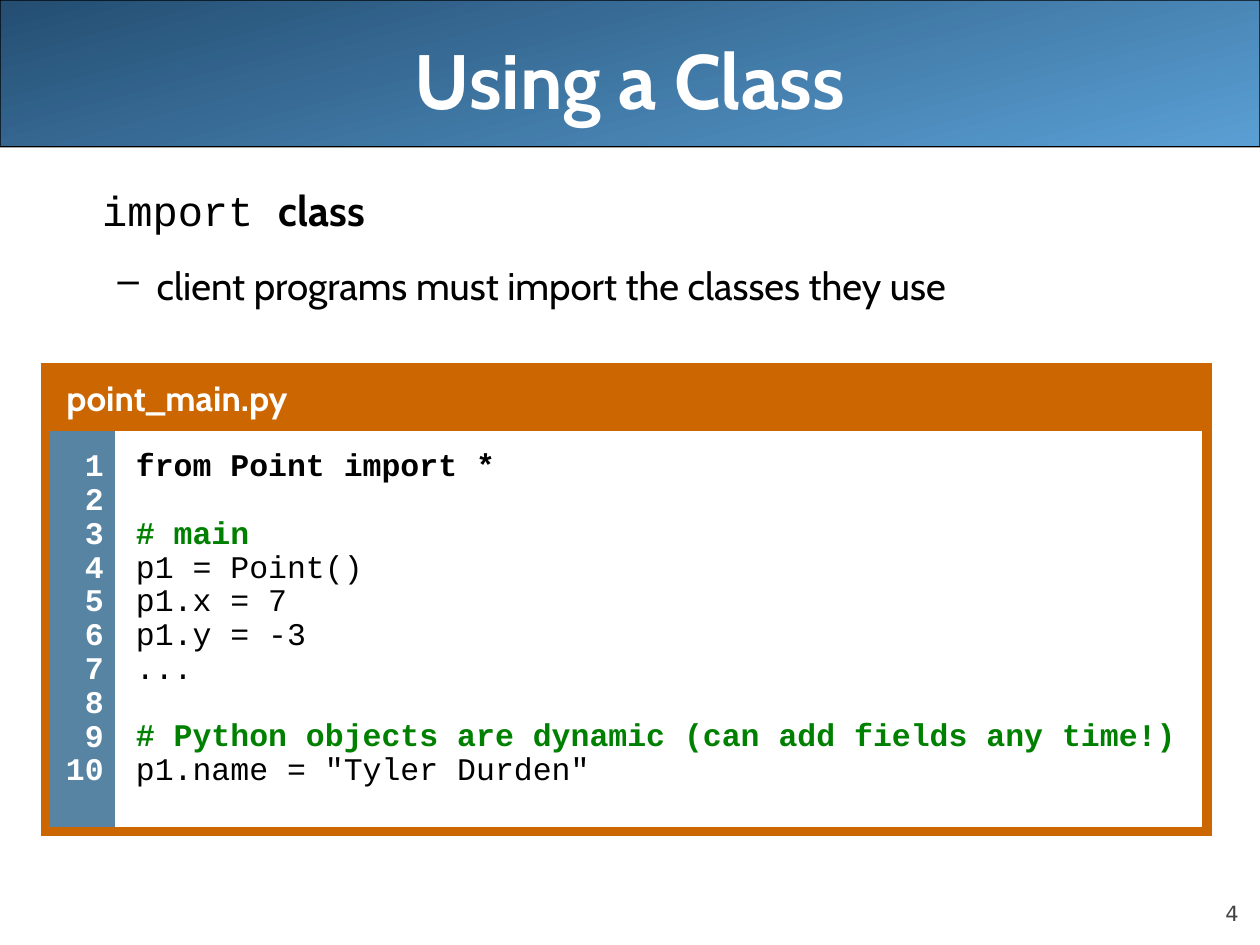
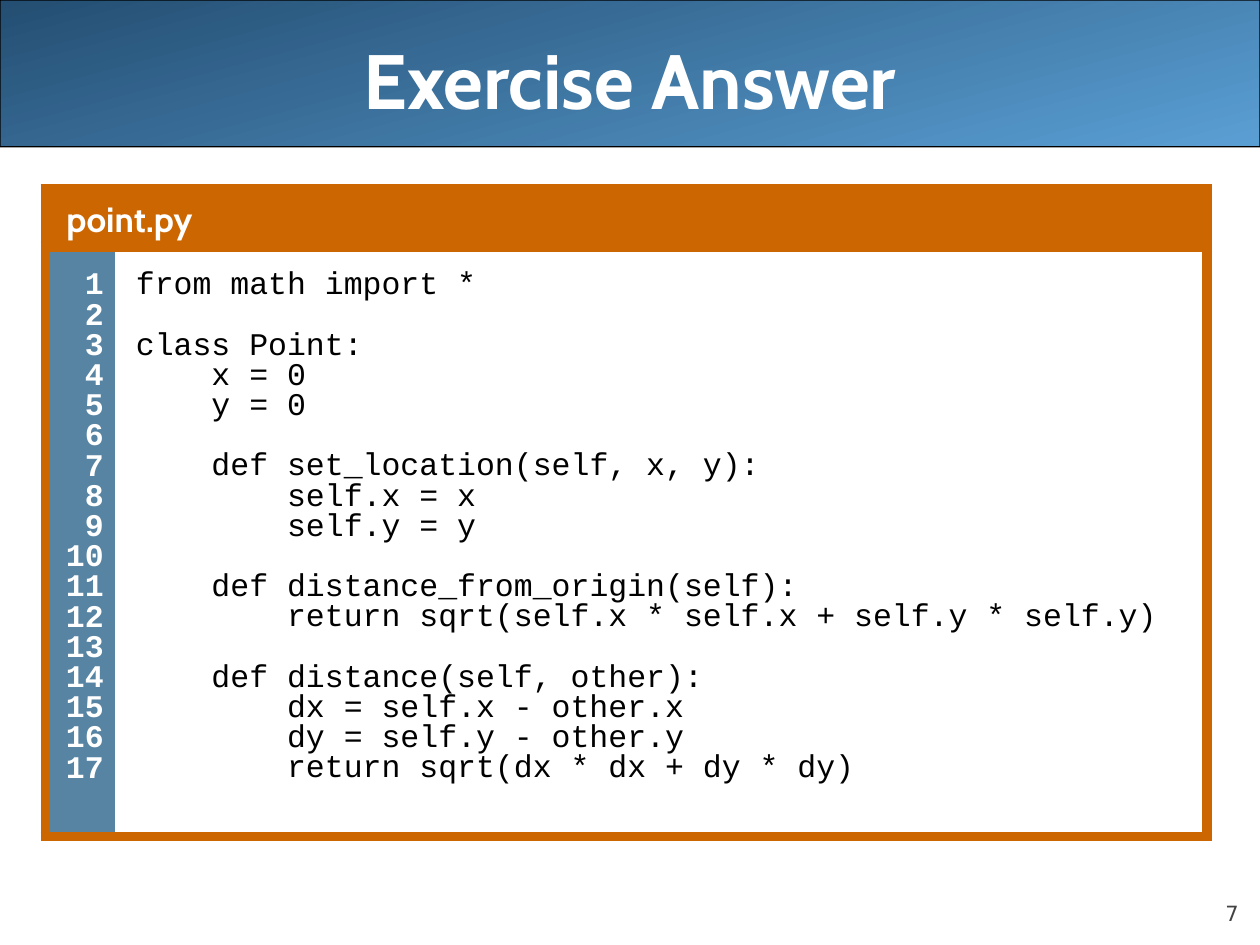
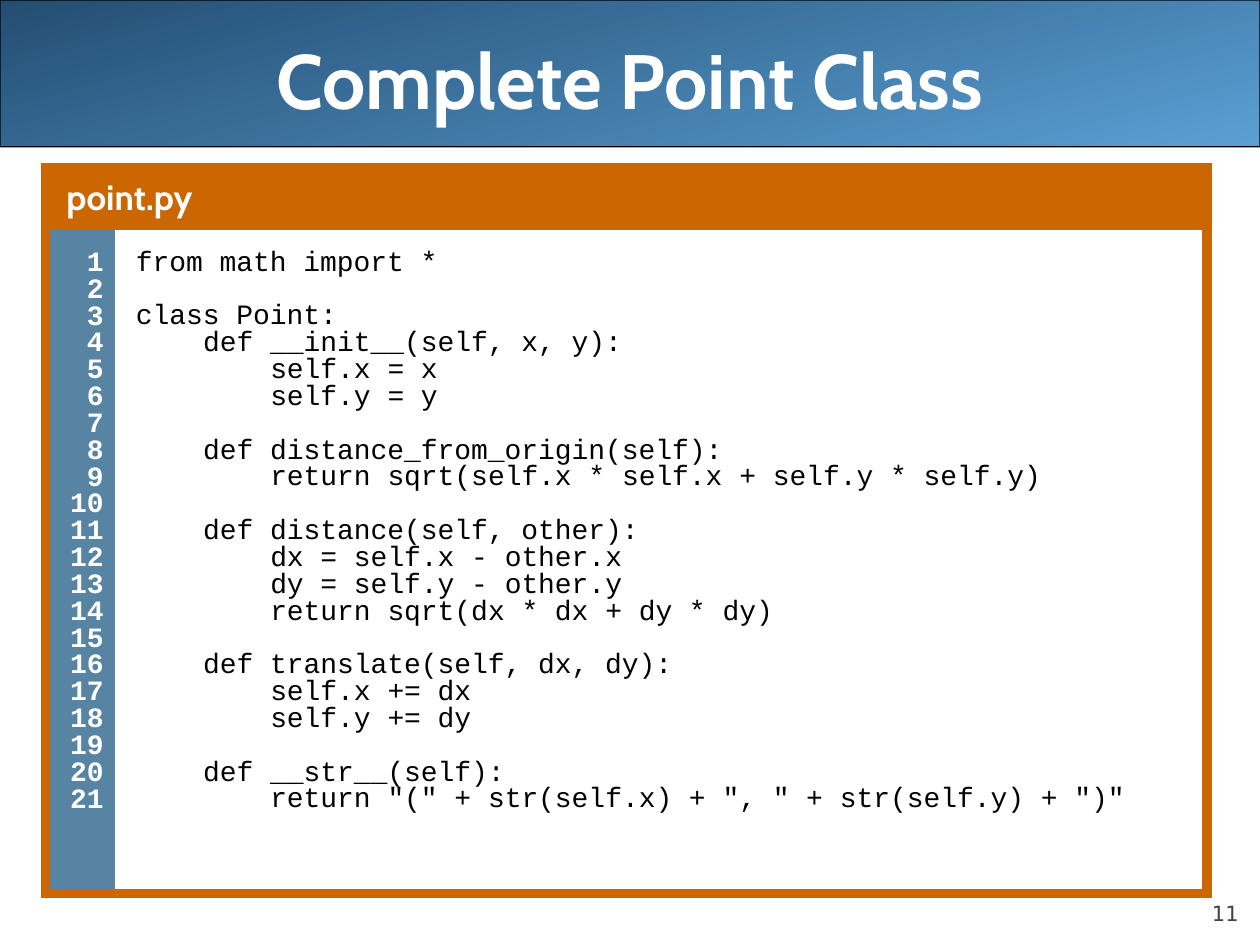
from lxml import etree
from pptx import Presentation
from pptx.dml.color import RGBColor
from pptx.enum.shapes import MSO_SHAPE
from pptx.enum.text import MSO_ANCHOR, PP_ALIGN
from pptx.oxml.ns import qn
from pptx.util import Cm, Pt

ROUND = MSO_SHAPE.ROUNDED_RECTANGLE
MID, LOW = MSO_ANCHOR.MIDDLE, MSO_ANCHOR.BOTTOM
LEFT, MIDST, RIGHT = PP_ALIGN.LEFT, PP_ALIGN.CENTER, PP_ALIGN.RIGHT

# Theme: colours, then type as font, size, weight and colour
HUE = {"navy": "244E72", "sky": "5A9FD4", "rust": "CC6600", "slate": "5784A3",
       "white": "FFFFFF", "black": "000000", "green": "008000", "grey": "424242"}
THEME = {
    "hue": {key: RGBColor.from_string(val) for key, val in HUE.items()},
    "type": {
        "title": ("Cabin", 44, True, "white"),
        "file": ("Cabin", 20, True, "white"),
        "key": ("Courier New", 24, False, "black"),
        "word": ("Cabin", 24, True, "black"),
        "point": ("Cabin", 22, False, "black"),
        "page": ("DejaVu Sans", 12, False, "grey"),
        "count": ("Courier New", 18, True, "white"),
        "code": ("Courier New", 18, False, "black"),
        "bold": ("Courier New", 18, True, "black"),
        "note": ("Courier New", 18, True, "green"),
    },
}
hue = THEME["hue"]
MONO_LINE = 1.13  # line height of the code font, in ems
MONO_CHAR = 0.6   # width of one code character, in ems
GAP = 0.2         # space before a paragraph, in ems

MAIN = """from Point import *

# main
p1 = Point()
p1.x = 7
p1.y = -3
...

# Python objects are dynamic (can add fields any time!)
p1.name = "Tyler Durden\""""

POINT = """from math import *

class Point:
    x = 0
    y = 0

    def set_location(self, x, y):
        self.x = x
        self.y = y

    def distance_from_origin(self):
        return sqrt(self.x * self.x + self.y * self.y)

    def distance(self, other):
        dx = self.x - other.x
        dy = self.y - other.y
        return sqrt(dx * dx + dy * dy)"""

WHOLE = """from math import *

class Point:
    def __init__(self, x, y):
        self.x = x
        self.y = y

    def distance_from_origin(self):
        return sqrt(self.x * self.x + self.y * self.y)

    def distance(self, other):
        dx = self.x - other.x
        dy = self.y - other.y
        return sqrt(dx * dx + dy * dy)

    def translate(self, dx, dy):
        self.x += dx
        self.y += dy

    def __str__(self):
        return "(" + str(self.x) + ", " + str(self.y) + ")\""""

PAGES = [
    {"title": "Using a Class", "page": "4", "file": "point_main.py", "code": MAIN,
     "top": 7.42, "tall": 7.82, "size": 18, "pitch": 0.77, "bold": ["from Point import *"]},
    {"title": "Exercise Answer", "page": "7", "file": "point.py", "code": POINT,
     "top": 3.81, "tall": 11.38, "size": 18, "pitch": 0.67, "bold": []},
    {"title": "Complete Point Class", "page": "11", "file": "point.py", "code": WHOLE,
     "top": 3.38, "tall": 13.46, "size": 16, "pitch": 0.67, "bold": []},
]


def write(par, text, kind, size=None, **form):
    """Add a run in a theme type and set the paragraph's format."""
    name, base, bold, tint = THEME["type"][kind]
    run = par.add_run()
    run.text = text
    run.font.color.rgb = hue[tint]
    look = {"name": name, "size": Pt(size or base), "bold": bold}
    for thing, vals in ((run.font, look), (par, form)):
        for key, val in vals.items():
            setattr(thing, key, val)


def indent(par, left, first=0):
    """Set the left margin and the first-line indent of a paragraph."""
    props = par._p.get_or_add_pPr()
    props.set("marL", str(int(left)))
    props.set("indent", str(int(first)))
    return props


deck = Presentation()
deck.slide_width, deck.slide_height = Cm(25.4), Cm(19.05)
plan = deck.slide_layouts[5]

for page in PAGES:
    slide = deck.slides.add_slide(plan)
    shapes = slide.shapes

    # Shared band, moved behind everything on the layout
    if page is PAGES[0]:
        band = shapes.add_shape(ROUND, 0, 0, deck.slide_width, Cm(2.96))
        band.adjustments[0] = 0.001
        band.shadow.inherit = False
        band.fill.gradient()
        band.fill.gradient_angle = 285
        for stop, tint, place in zip(band.fill.gradient_stops, ("navy", "sky"), (0, 1)):
            stop.color.rgb = hue[tint]
            stop.position = place
        band.line.color.rgb = hue["black"]
        band.line.width = Pt(0.75)
        plan.shapes.element.insert(2, band.element)

    # Title
    title = shapes.title
    spot = {"left": Cm(1.27), "top": 0, "width": Cm(22.86), "height": Cm(3.18)}
    for key, val in spot.items():
        setattr(title, key, val)
    title.text_frame.vertical_anchor = MID
    write(title.text_frame.paragraphs[0], page["title"], "title", alignment=MIDST)

    # Page number
    foot = shapes.add_textbox(Cm(22.86), Cm(17.65), Cm(2.11), Cm(1.02)).text_frame
    form = {"margin_left": 0, "margin_right": 0, "margin_top": 0, "margin_bottom": 0,
            "word_wrap": True, "vertical_anchor": LOW}
    for key, val in form.items():
        setattr(foot, key, val)
    write(foot.paragraphs[0], page["page"], "page", alignment=RIGHT)

    # Import rule, on the first slide only
    if page is PAGES[0]:
        body = shapes.add_textbox(Cm(0.84), Cm(3.6), Cm(24.13), Cm(13.77)).text_frame
        body.word_wrap = True
        head = body.paragraphs[0]
        indent(head, Cm(0.97))
        write(head, "import ", "key", space_before=Pt(4.8))
        write(head, "class", "word")
        item = body.add_paragraph()
        write(item, "client programs must import the classes they use", "point",
              space_before=Pt(15.2))
        props = indent(item, Cm(2.07), -Cm(0.79))
        etree.SubElement(props, qn("a:buChar"), char="–")

    # Code table
    grid = shapes.add_table(2, 2, Cm(0.91), Cm(page["top"]), Cm(23.42),
                            Cm(1.07 + page["tall"])).table
    grid.first_row = grid.horz_banding = False
    for col, wide in zip(grid.columns, (1.4, 22.02)):
        col.width = Cm(wide)
    for row, tall in zip(grid.rows, (1.07, page["tall"])):
        row.height = Cm(tall)
    grid.cell(0, 0).merge(grid.cell(0, 1))

    # Cells: place, fill, open side, right margin, top and bottom margin
    for line, col, tint, free, side, ends in (
            (0, 0, "rust", None, 0.13, 0.13), (0, 1, "rust", None, 0.13, 0.13),
            (1, 0, "slate", "lnR", 0.22, 0.58), (1, 1, "white", "lnL", 0.46, 0.58)):
        cell = grid.cell(line, col)
        form = {"margin_left": Cm(0.13), "margin_right": Cm(side),
                "margin_top": Cm(ends), "margin_bottom": Cm(ends)}
        for key, val in form.items():
            setattr(cell, key, val)
        props = cell._tc.get_or_add_tcPr()
        for edge in ("lnL", "lnR", "lnT", "lnB"):
            rule = etree.SubElement(props, qn("a:" + edge), w=str(Pt(6)))
            if edge == free:
                etree.SubElement(rule, qn("a:noFill"))
            else:
                ink = etree.SubElement(rule, qn("a:solidFill"))
                etree.SubElement(ink, qn("a:srgbClr"), val=HUE["rust"])
        cell.fill.solid()
        cell.fill.fore_color.rgb = hue[tint]

    # File name
    name = grid.cell(0, 0).text_frame.paragraphs[0]
    indent(name, Cm(0.3))
    write(name, page["file"], "file", line_spacing=1.07, space_before=Pt(4))

    # Line numbers and code; a blank line becomes space before the next one
    size, pitch = page["size"], page["pitch"]
    count, code = (grid.cell(1, col).text_frame for col in (0, 1))
    skip = 0
    for num, text in enumerate(page["code"].split("\n")):
        par = count.add_paragraph() if num else count.paragraphs[0]
        indent(par, 0)
        write(par, str(num + 1), "count", size, alignment=RIGHT,
              line_spacing=pitch, space_before=Pt(size * GAP))
        if not text:
            skip += 1
            continue
        par = code.add_paragraph() if num else code.paragraphs[0]
        bare = text.lstrip()
        indent(par, Cm(0.3) + Pt((len(text) - len(bare)) * size * MONO_CHAR))
        kind = "note" if bare[0] == "#" else "bold" if bare in page["bold"] else "code"
        lead = size * (GAP + skip * (GAP + pitch * MONO_LINE))
        write(par, bare, kind, size, alignment=LEFT,
              line_spacing=pitch, space_before=Pt(lead))
        skip = 0

deck.save("out.pptx")
